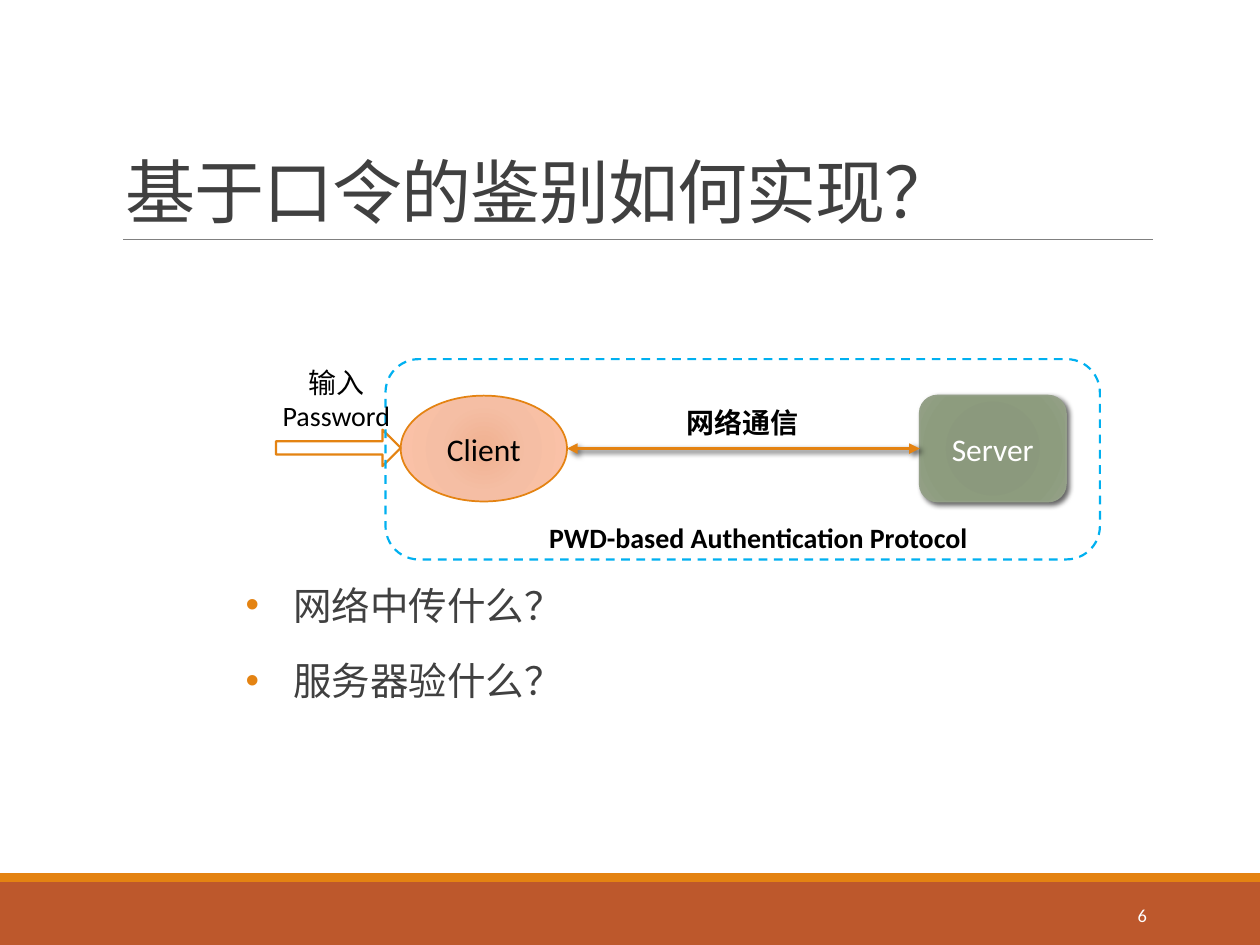
from lxml import etree
from pptx import Presentation, util as u
from pptx.dml.color import RGBColor
from pptx.enum import dml, shapes, text
from pptx.oxml import ns

# Content: wording, then place as (left, top, width, height) in inches
TITLE = ("基于口令的鉴别如何实现？", (0.9, 0.31, 8.25, 1.59))
QUESTIONS = (["网络中传什么？", "服务器验什么？"], (1.95, 4.53, 7.2, 1.41))
CLIENT = ("Client", (3.18, 3.14, 1.32, 0.84))
SERVER = ("Server", (7.3, 3.14, 1.16, 0.84))
LABELS = [  # wording, place, bold, wraps, alignment
    ("网络通信", (5.35, 3.17, 1.11, 0.37), True, False, "LEFT"),
    ("输入Password", (2.13, 2.85, 1.08, 0.64), False, True, "CENTER"),
    ("PWD-based Authentication Protocol", (4.26, 4.08, 3.62, 0.37), True, False, "LEFT"),
]
PAGE = ("6", (8.12, 7.06, 1.08, 0.4))
BANDS = [("rust", (0, 7, 10, 0.5)), ("orange", (0, 6.93, 10, 0.07))]
INPUT_ARROW = (2.19, 3.41, 0.99, 0.29)
PROTOCOL_FRAME = (3.06, 2.85, 5.67, 1.59)

THEME = {
    "font": "Calibri",
    "color": {"rust": "BD582C", "orange": "E48312", "rule": "808080", "ink": "404040",
              "black": "000000", "white": "FFFFFF", "sage": "94A088", "frame": "00B0F0"},
    "size": {"title": 40, "question": 22, "node": 18, "label": 16, "page": 10.5},
    "client": [(0, "F0B191"), (45, "F5BEA4"), (100, "FDC3A8")],
    "server": [(0, "8A987B"), (34, "8B997D"), (70, "8D9C7E"), (100, "94A187")],
}

prs = Presentation()
prs.slide_width, prs.slide_height = u.Inches(10), u.Inches(7.5)
slide = prs.slides.add_slide(prs.slide_layouts[6])


def color(name):
    return RGBColor.from_string(THEME["color"][name])


def child(parent, tag, **attributes):
    return etree.SubElement(parent, ns.qn(tag), {k: str(v) for k, v in attributes.items()})


def inches(place):
    return [u.Inches(length) for length in place]


def style(paragraph, size, ink, align="LEFT", bold=False):
    paragraph.alignment = getattr(text.PP_ALIGN, align)
    for run in paragraph.runs:
        font = run.font
        font.name, font.size, font.bold = THEME["font"], u.Pt(THEME["size"][size]), bold
        font.color.rgb = color(ink)


def add_text(words, place, size, ink, align="LEFT", bold=False, wrap=True, anchor="TOP"):
    frame = slide.shapes.add_textbox(*inches(place)).text_frame
    frame.word_wrap = wrap
    frame.vertical_anchor = getattr(text.MSO_ANCHOR, anchor)
    frame.text = words
    style(frame.paragraphs[0], size, ink, align, bold)
    return frame


def add_block(kind, place, fill=None, line=None, width=1):
    block = slide.shapes.add_shape(getattr(shapes.MSO_SHAPE, kind), *inches(place))
    block.shadow.inherit = False
    if fill:
        block.fill.solid()
        block.fill.fore_color.rgb = color(fill)
    else:
        block.fill.background()
    if line:
        block.line.color.rgb = color(line)
        block.line.width = u.Pt(width)
    else:
        block.line.fill.background()
    return block


def add_line(x1, y1, x2, y2, ink, width):
    line = slide.shapes.add_connector(shapes.MSO_CONNECTOR.STRAIGHT, *inches((x1, y1, x2, y2)))
    line.line.color.rgb = color(ink)
    line.line.width = u.Pt(width)
    return line, child(line._element.spPr, "a:effectLst")


def add_shadow(effects):
    shadow = child(effects, "a:outerShdw", blurRad=u.Pt(3), dist=u.Pt(2), dir=45 * 60000,
                   algn="tl", rotWithShape=0)
    black = child(shadow, "a:srgbClr", val=THEME["color"]["black"])
    child(black, "a:alpha", val=60000)


def add_node(kind, node, stops, line, ink):
    words, place = node
    block = add_block(kind, place, line=line)
    gradient = etree.Element(ns.qn("a:gradFill"), rotWithShape="1")
    stop_list = child(gradient, "a:gsLst")
    for position, shade in stops:
        child(child(stop_list, "a:gs", pos=position * 1000), "a:srgbClr", val=shade)
    radial = child(gradient, "a:path", path="circle")
    child(radial, "a:fillToRect", **dict.fromkeys("ltrb", 100000))
    properties = block._element.spPr
    properties.replace(properties.find(ns.qn("a:noFill")), gradient)
    block.text_frame.text = words
    block.text_frame.vertical_anchor = text.MSO_ANCHOR.MIDDLE
    style(block.text_frame.paragraphs[0], "node", ink, "CENTER")
    return block


# Footer bands and title
for fill, place in BANDS:
    add_block("RECTANGLE", place, fill)
add_line(0.98, 1.9, 9.15, 1.9, "rule", 0.5)
heading = add_text(*TITLE, "title", "ink", anchor="BOTTOM").paragraphs[0]
heading.line_spacing = 0.85
heading.runs[0].font._element.set("spc", "-50")

# Questions
questions, place = QUESTIONS
body = add_text("\n".join(questions), place, "question", "ink")
body.margin_left = body.margin_right = 0
for index, question in enumerate(body.paragraphs):
    properties = question._p.get_or_add_pPr()
    properties.set("marL", str(u.Inches(0.38)))
    properties.set("indent", str(-u.Inches(0.38)))
    child(child(properties, "a:buClr"), "a:srgbClr", val=THEME["color"]["orange"])
    child(properties, "a:buFont", typeface="Arial")
    child(properties, "a:buChar", char="•")
    question.line_spacing = 1.1
    question.space_before, question.space_after = u.Pt(12 if index else 0), u.Pt(2)
    style(question, "question", "ink")

# Client, server and the link between them
add_node("OVAL", CLIENT, THEME["client"], "orange", "black")
server = add_node("ROUNDED_RECTANGLE", SERVER, THEME["server"], "sage", "white")
add_shadow(server._element.spPr.find(ns.qn("a:effectLst")))
left, top, width, height = CLIENT[1]
middle = top + height / 2
link, link_effects = add_line(left + width, middle, SERVER[1][0], middle, "orange", 2)
for end in ("a:headEnd", "a:tailEnd"):
    child(link.line._get_or_add_ln(), end, type="triangle")
add_shadow(link_effects)

# Password input, protocol frame and labels
arrow = add_block("RIGHT_ARROW", INPUT_ARROW, "white", "orange", 1.25)
arrow.adjustments[0], arrow.adjustments[1] = 0.36, 0.5
frame = add_block("ROUNDED_RECTANGLE", PROTOCOL_FRAME, line="frame", width=1.25)
frame.line.dash_style = dml.MSO_LINE.DASH
for words, place, bold, wrap, align in LABELS:
    add_text(words, place, "label", "black", align, bold, wrap)

# Page number
add_text(*PAGE, "page", "white", "RIGHT", anchor="MIDDLE")

prs.save("out.pptx")
